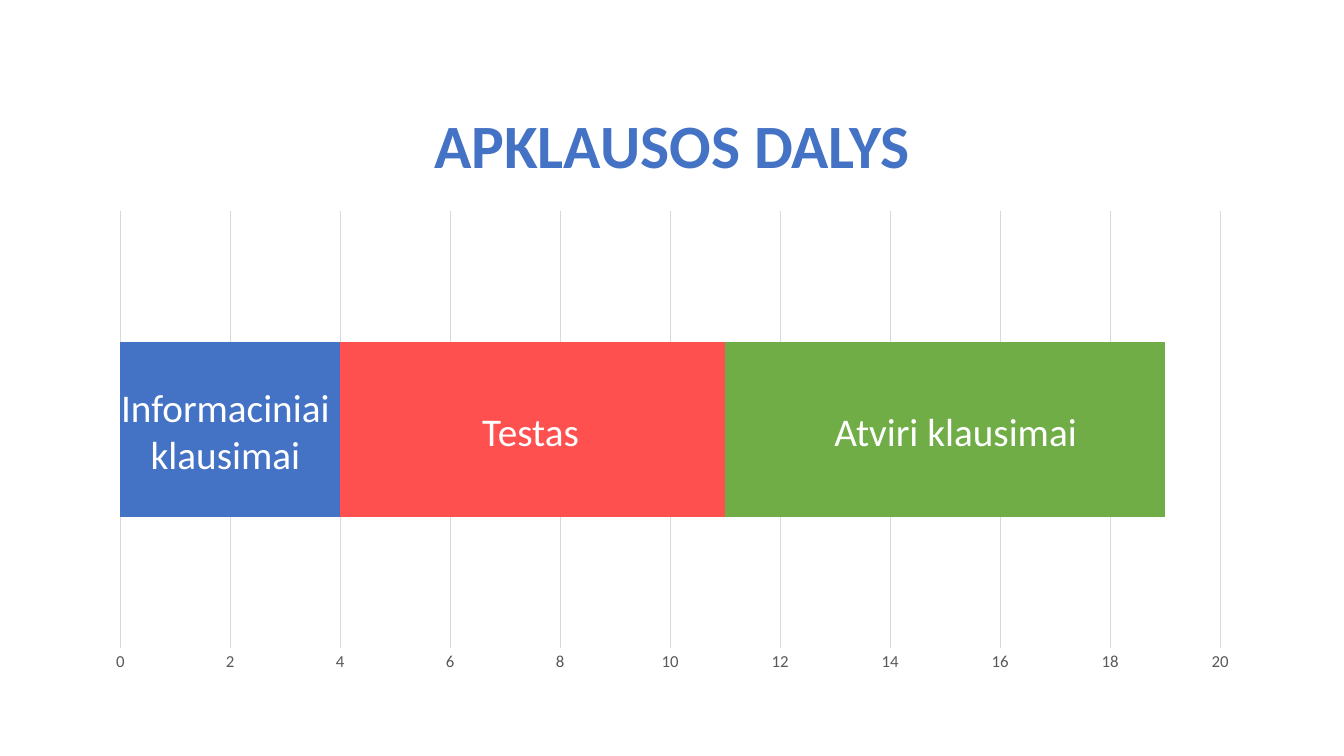
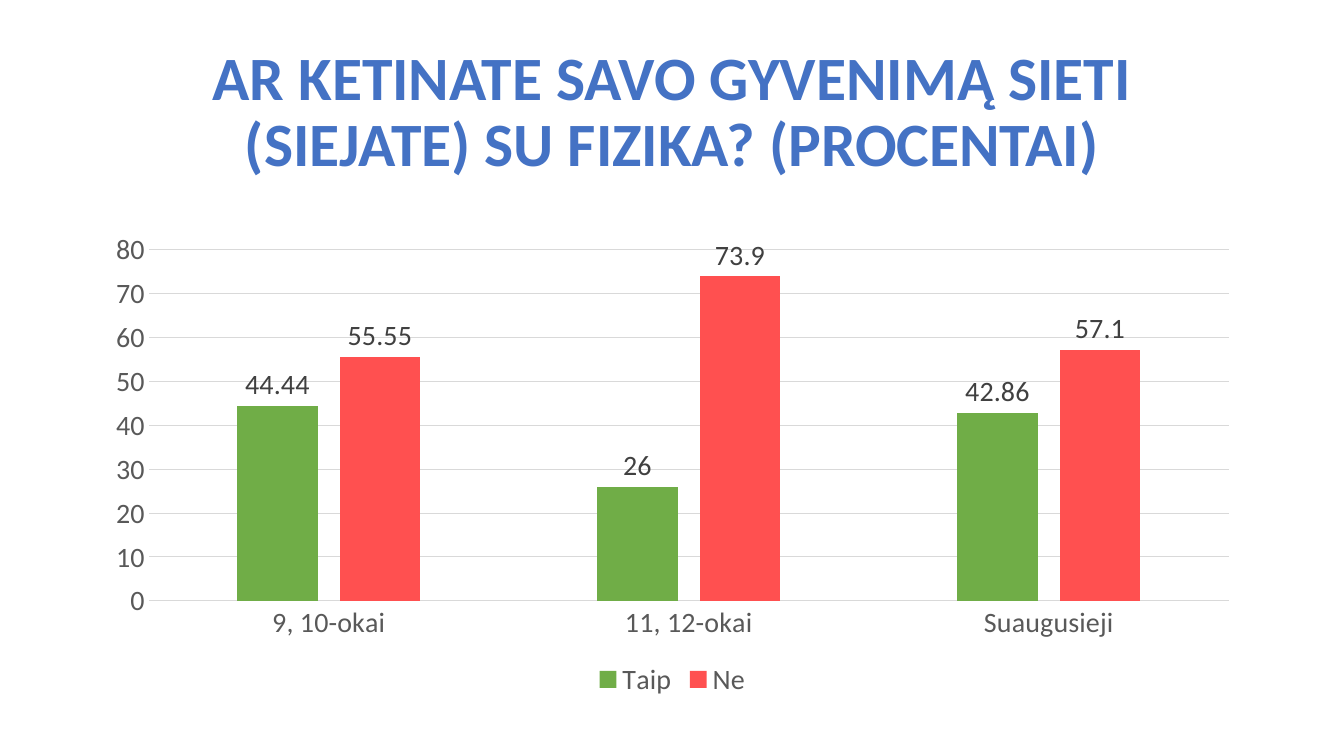
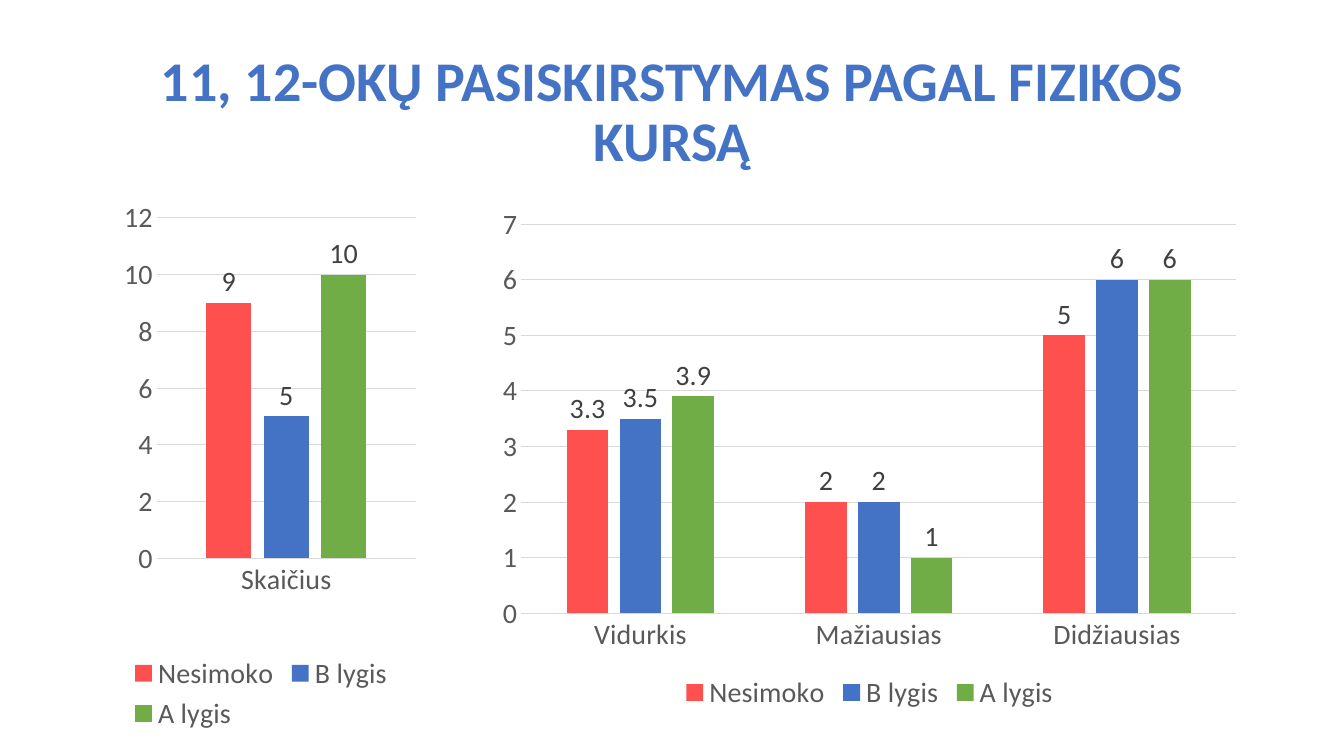
from dataclasses import dataclass

from lxml.etree import SubElement
from pptx import Presentation
from pptx.chart.axis import CategoryAxis, ValueAxis
from pptx.chart.chart import Chart
from pptx.chart.data import CategoryChartData
from pptx.dml.color import RGBColor
from pptx.enum.chart import (XL_CHART_TYPE, XL_LABEL_POSITION,
                             XL_LEGEND_POSITION, XL_TICK_MARK)
from pptx.enum.text import MSO_ANCHOR, PP_ALIGN
from pptx.oxml.ns import qn
from pptx.slide import Slide
from pptx.text.text import Font
from pptx.util import Cm, Pt

FONT = "Calibri"
COLORS = {
    "blue": "4472C4",
    "red": "FF5050",
    "green": "70AD47",
    "white": "FFFFFF",
    "grid": "D9D9D9",
    "axis": "595959",
    "label": "404040",
}
LEFT, WIDTH = 2.34, 29.21
LEVELS = (("Nesimoko", "red"), ("B lygis", "blue"), ("A lygis", "green"))


@dataclass(frozen=True)
class Box:
    """A frame in centimetres."""
    left: float
    top: float
    width: float
    height: float

    def lengths(self) -> tuple[Cm, Cm, Cm, Cm]:
        return Cm(self.left), Cm(self.top), Cm(self.width), Cm(self.height)


@dataclass(frozen=True)
class Series:
    name: str
    color: str
    values: tuple[float, ...]


@dataclass(frozen=True)
class Label:
    text: str
    box: Box
    align: PP_ALIGN = PP_ALIGN.CENTER


@dataclass(frozen=True)
class Columns:
    """A clustered column chart; plot holds x, y, w, h as shares."""
    box: Box
    groups: tuple[str, ...]
    series: tuple[Series, ...]
    plot: tuple[float, ...] = ()


TITLE = Box(LEFT, 1.02, WIDTH, 3.68)
PARTS = (
    Series("Series 1", "blue", (4,)),
    Series("Series 2", "red", (7,)),
    Series("Series 3", "green", (8,)),
)
LABELS = (
    Label("Informaciniai klausimai", Box(LEFT, 9.53, 6.68, 2.64)),
    Label("Testas", Box(10.03, 10.13, 6.68, 1.45)),
    Label("Atviri klausimai", Box(20.78, 10.13, 6.68, 1.45), PP_ALIGN.LEFT),
)


def by_level(*rows: tuple[float, ...]) -> tuple[Series, ...]:
    return tuple(Series(name, color, row)
                 for (name, color), row in zip(LEVELS, rows))


PLANS = Columns(
    Box(LEFT, 5.61, WIDTH, 12.09),
    ("9, 10-okai", "11, 12-okai", "Suaugusieji"),
    (Series("Taip", "green", (44.44, 26, 42.86)),
     Series("Ne", "red", (55.55, 73.9, 57.1))),
)
MARKS = Columns(
    Box(12.29, 4.95, 19.25, 13.08),
    ("Vidurkis", "Mažiausias", "Didžiausias"),
    by_level((3.3, 2, 5), (3.5, 2, 6), (3.9, 1, 6)),
)
COUNTS = Columns(
    Box(LEFT, 4.95, 8.48, 13.61),
    ("Skaičius",),
    by_level((9,), (5,), (10,)),
    (0.19, 0.04, 0.77, 0.63),
)


def rgb(name: str) -> RGBColor:
    return RGBColor.from_string(COLORS[name])


def set_font(font: Font, size: float, color: str, bold: bool = False) -> None:
    font.name = FONT
    font.size = Pt(size)
    font.bold = bold
    font.color.rgb = rgb(color)


def add_text(slide: Slide, label: Label, size: float, color: str = "white",
             bold: bool = False, anchor: MSO_ANCHOR = MSO_ANCHOR.TOP,
             spacing: float = 1.0) -> None:
    frame = slide.shapes.add_textbox(*label.box.lengths()).text_frame
    frame.word_wrap = True
    frame.vertical_anchor = anchor
    line = frame.paragraphs[0]
    line.text = label.text
    line.alignment = label.align
    line.line_spacing = spacing
    set_font(line.font, size, color, bold)


def add_slide(deck: Presentation, title: str, size: float = 44,
              anchor: MSO_ANCHOR = MSO_ANCHOR.MIDDLE) -> Slide:
    slide = deck.slides.add_slide(deck.slide_layouts[6])
    add_text(slide, Label(title, TITLE), size, "blue", True, anchor, 0.9)
    return slide


def style_axis(axis: CategoryAxis | ValueAxis, size: float) -> None:
    axis.major_tick_mark = XL_TICK_MARK.NONE
    axis.minor_tick_mark = XL_TICK_MARK.NONE
    set_font(axis.tick_labels.font, size, "axis")


def add_chart(slide: Slide, kind: XL_CHART_TYPE, box: Box,
              groups: tuple[str, ...], series: tuple[Series, ...],
              gap: int, overlap: int, size: float) -> Chart:
    """Add a bar chart with coloured series and a gridded value axis."""
    data = CategoryChartData()
    data.categories = groups
    for item in series:
        data.add_series(item.name, item.values)
    chart = slide.shapes.add_chart(kind, *box.lengths(), data).chart
    chart.has_title = False
    chart.has_legend = False
    chart.font.name = FONT
    chart.font.size = Pt(size)

    plot = chart.plots[0]
    plot.gap_width = gap
    plot.overlap = overlap
    plot.vary_by_categories = False
    for drawn, item in zip(plot.series, series):
        drawn.format.fill.solid()
        drawn.format.fill.fore_color.rgb = rgb(item.color)

    axis = chart.value_axis
    style_axis(axis, size)
    axis.format.line.fill.background()
    axis.has_major_gridlines = True
    grid = axis.major_gridlines.format.line
    grid.color.rgb = rgb("grid")
    grid.width = Pt(0.75)
    return chart


def place_plot(chart: Chart, shares: tuple[float, ...]) -> None:
    """Fix the inner plot area at shares of the chart's size."""
    area = chart.element.find(".//" + qn("c:plotArea"))
    old = area.find(qn("c:layout"))
    if old is not None:
        area.remove(old)
    layout = SubElement(area, qn("c:layout"))
    area.insert(0, layout)
    manual = SubElement(layout, qn("c:manualLayout"))
    rules = [("layoutTarget", "inner"), ("xMode", "edge"), ("yMode", "edge")]
    for tag, value in rules + list(zip("xywh", shares)):
        SubElement(manual, qn("c:" + tag)).set("val", str(value))


def add_columns(slide: Slide, spec: Columns) -> None:
    size = 20
    chart = add_chart(slide, XL_CHART_TYPE.COLUMN_CLUSTERED, spec.box,
                      spec.groups, spec.series, 219, -27, size)
    axis = chart.category_axis
    style_axis(axis, size)
    axis.format.line.color.rgb = rgb("grid")
    axis.format.line.width = Pt(0.75)

    for drawn in chart.plots[0].series:
        labels = drawn.data_labels
        labels.show_value = True
        labels.position = XL_LABEL_POSITION.OUTSIDE_END
        set_font(labels.font, size, "label")

    chart.has_legend = True
    chart.legend.position = XL_LEGEND_POSITION.BOTTOM
    chart.legend.include_in_layout = False
    set_font(chart.legend.font, size, "axis")
    if spec.plot:
        place_plot(chart, spec.plot)


def add_parts(deck: Presentation) -> None:
    slide = add_slide(deck, "APKLAUSOS DALYS", anchor=MSO_ANCHOR.BOTTOM)
    chart = add_chart(slide, XL_CHART_TYPE.BAR_STACKED,
                      Box(LEFT, 5.08, WIDTH, 12.09), ("1",), PARTS,
                      150, 100, 12)
    chart.category_axis.visible = False
    for label in LABELS:
        add_text(slide, label, 28)


def main() -> None:
    deck = Presentation()
    deck.slide_width, deck.slide_height = Cm(33.87), Cm(19.05)
    add_parts(deck)
    slide = add_slide(deck, "AR KETINATE SAVO GYVENIMĄ SIETI (SIEJATE) "
                            "SU FIZIKA? (PROCENTAI)")
    add_columns(slide, PLANS)
    slide = add_slide(deck, "11, 12-OKŲ PASISKIRSTYMAS PAGAL FIZIKOS KURSĄ",
                      40)
    for spec in (MARKS, COUNTS):
        add_columns(slide, spec)
    deck.save("out.pptx")


if __name__ == "__main__":
    main()
